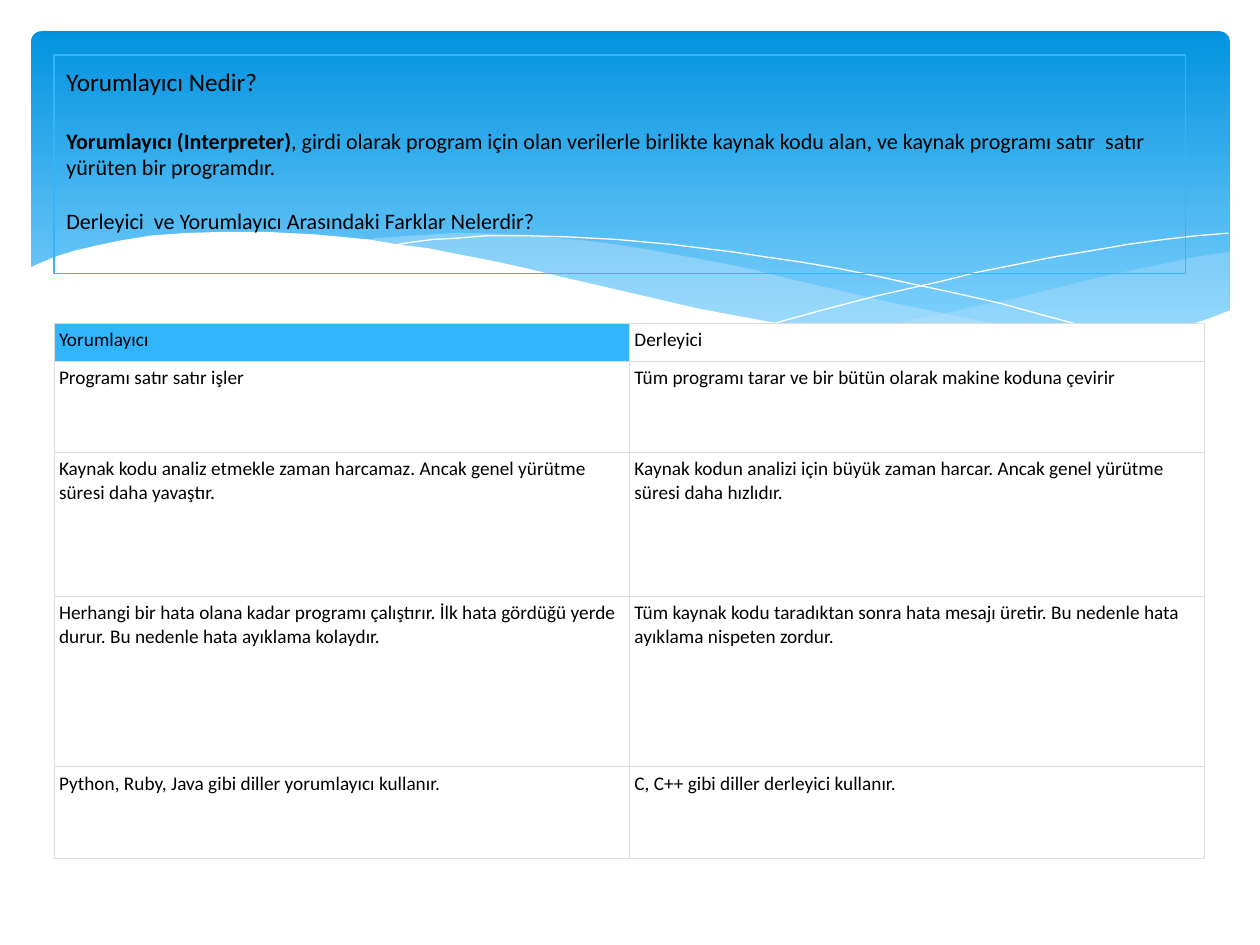
"""Build a slide that compares interpreters and compilers."""
from lxml.etree import SubElement as Sub
from pptx import Presentation
from pptx.dml.color import RGBColor
from pptx.enum.shapes import MSO_SHAPE as SHAPE
from pptx.enum.text import MSO_ANCHOR as ANCHOR
from pptx.oxml.ns import qn
from pptx.util import Cm, Pt


def rgb(value):
    return RGBColor.from_string(value)


prs = Presentation()
prs.slide_width, prs.slide_height = Cm(25.4), Cm(19.05)
s = prs.slides.add_slide(prs.slide_layouts[6])

panel = s.shapes.add_shape(SHAPE.ROUNDED_RECTANGLE, Cm(0.63), Cm(0.63), Cm(24.16), Cm(6.86))
panel.adjustments[0] = 0.03
panel.shadow.inherit = False
panel.line.fill.background()
panel.fill.gradient()
panel.fill.gradient_angle = 270
for stop, pos, color in zip(panel.fill.gradient_stops, (0, 0.9), ("0293E0", "83D3FE")):
    stop.position = pos
    stop.color.rgb = rgb(color)

right_wave = [
    (975, 200), (948, 204), (921, 210), (891, 216), (861, 223), (832, 230), (805, 237),
    (779, 242), (753, 248), (729, 253), (706, 257), (683, 262), (661, 265), (691, 269),
    (719, 272), (745, 275), (769, 277), (792, 277), (814, 278), (835, 277), (854, 276),
    (872, 274), (889, 272), (905, 269), (921, 265), (935, 262), (949, 257), (963, 252),
    (976, 247), (976, 200)]
middle_wave = [
    (893, 273), (866, 269), (837, 265), (807, 260), (775, 254), (741, 247), (706, 240),
    (668, 231), (629, 222), (598, 214), (569, 208), (541, 203), (514, 198), (489, 194),
    (465, 191), (442, 189), (420, 187), (399, 186), (380, 185), (361, 185), (344, 186),
    (328, 187), (313, 188), (299, 189), (286, 191), (323, 196), (362, 203), (404, 211),
    (449, 222), (491, 232), (530, 240), (566, 248), (601, 255), (634, 261), (665, 266),
    (695, 270), (722, 274), (748, 276), (773, 277), (796, 278), (818, 278), (838, 278),
    (857, 277), (876, 275)]
falling_line = [
    (309, 195), (328, 192), (344, 190), (363, 189), (387, 187), (416, 187), (450, 188),
    (489, 190), (533, 194), (582, 200), (608, 204), (636, 208), (665, 213), (695, 219),
    (727, 226), (760, 233), (795, 241), (831, 251), (869, 261), (907, 272)]
rising_line = [
    (613, 257), (653, 246), (695, 235), (748, 223), (776, 216), (806, 210), (836, 204),
    (866, 199), (895, 194), (924, 190), (951, 187), (975, 185)]
white_wave = [
    (977, 246), (959, 253), (940, 259), (920, 265), (899, 269), (875, 273), (850, 275),
    (823, 277), (793, 276), (761, 275), (726, 272), (688, 268), (648, 262), (603, 254),
    (555, 245), (503, 233), (447, 220), (418, 213), (391, 207), (365, 202), (340, 197),
    (316, 194), (292, 190), (271, 188), (250, 186), (230, 185), (211, 184), (177, 184),
    (146, 185), (119, 187), (95, 191), (76, 195), (59, 199), (46, 203), (36, 207),
    (29, 210), (23, 213), (23, 329), (977, 329)]

waves = [(right_wave, "C6E7FC", 29), (middle_wave, "C6E7FC", 40), (falling_line, None, 0),
         (rising_line, None, 0), (white_wave, "FFFFFF", 100)]
for points, color, opacity in waves:
    builder = s.shapes.build_freeform(*points[0], scale=Cm(0.0254))
    builder.add_line_segments(points[1:], close=color is not None)
    sp = builder.convert_to_shape()
    sp.shadow.inherit = False
    if color:
        sp.line.fill.background()
        sp.fill.solid()
        sp.fill.fore_color.rgb = rgb(color)
        srgb = sp.fill._xPr.find(".//" + qn("a:srgbClr"))
        Sub(srgb, qn("a:alpha"), val=str(opacity * 1000))
    else:
        sp.fill.background()
        sp.line.color.rgb = rgb("FFFFFF")
        sp.line.width = Pt(0)

rows = [
    ("Yorumlayıcı", "Derleyici"),
    ("Programı satır satır işler",
     "Tüm programı tarar ve bir bütün olarak makine koduna çevirir"),
    ("Kaynak kodu analiz etmekle zaman harcamaz. Ancak genel yürütme süresi daha yavaştır.",
     "Kaynak kodun analizi için büyük zaman harcar. Ancak genel yürütme süresi daha hızlıdır."),
    ("Herhangi bir hata olana kadar programı çalıştırır. İlk hata gördüğü yerde durur. "
     "Bu nedenle hata ayıklama kolaydır.",
     "Tüm kaynak kodu taradıktan sonra hata mesajı üretir. "
     "Bu nedenle hata ayıklama nispeten zordur."),
    ("Python, Ruby, Java gibi diller yorumlayıcı kullanır.",
     "C, C++ gibi diller derleyici kullanır."),
]
heights = [0.76, 1.84, 2.9, 3.44, 1.84]
table = s.shapes.add_table(5, 2, Cm(1.09), Cm(6.52), Cm(23.2), Cm(sum(heights))).table
table.first_row = table.horz_banding = False
for i, (texts, height) in enumerate(zip(rows, heights)):
    table.rows[i].height = Cm(height)
    for j, text in enumerate(texts):
        cell = table.cell(i, j)
        cell.text = text
        cell.margin_left = cell.margin_right = Cm(0.1)
        cell.margin_top = cell.margin_bottom = Cm(0.1)
        font = cell.text_frame.paragraphs[0].font
        font.name, font.size = "Calibri", Pt(11)
        font.color.rgb = rgb("000000")
        tcPr = cell._tc.get_or_add_tcPr()
        for side in ("lnL", "lnR", "lnT", "lnB"):
            ln = Sub(tcPr, qn("a:" + side), w=str(Pt(0.6)))
            Sub(Sub(ln, qn("a:solidFill")), qn("a:srgbClr"), val="DDDDDD")
        cell.fill.solid()
        cell.fill.fore_color.rgb = rgb("31B6FD" if i == j == 0 else "FFFFFF")

title = s.shapes.add_textbox(Cm(1.09), Cm(1.11), Cm(22.81), Cm(4.4))
title.line.color.rgb = rgb("31B6FD")
title.line.width = Pt(0.75)
tf = title.text_frame
tf.word_wrap = True
tf.vertical_anchor = ANCHOR.TOP
tf.margin_top = Cm(0.23)
paragraphs = [
    (14.4, 17.5, [("Yorumlayıcı Nedir?", False)]),
    (12.6, 15.4, [("Yorumlayıcı (Interpreter)", True),
                  (", girdi olarak program için olan verilerle birlikte kaynak kodu alan, "
                   "ve kaynak programı satır  satır yürüten bir programdır.", False)]),
    (12.6, 0, [("Derleyici  ve Yorumlayıcı Arasındaki Farklar Nelerdir?", False)]),
]
for i, (size, gap, runs) in enumerate(paragraphs):
    p = tf.add_paragraph() if i else tf.paragraphs[0]
    p.space_after = Pt(gap)
    p.font.name, p.font.size = "Calibri", Pt(size)
    p.font.color.rgb = rgb("000000")
    for text, bold in runs:
        r = p.add_run()
        r.text = text
        r.font.bold = bold

prs.save("out.pptx")
